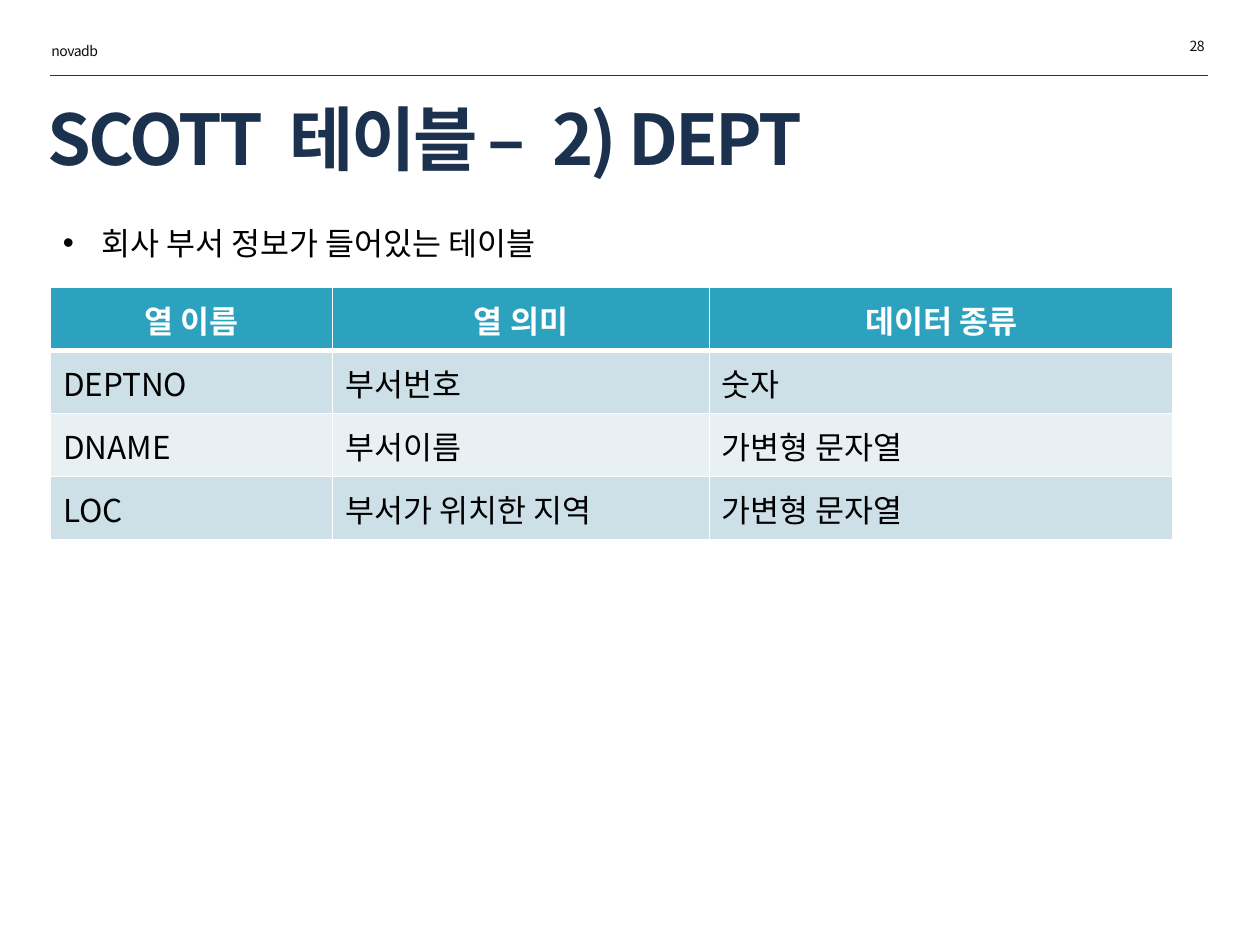
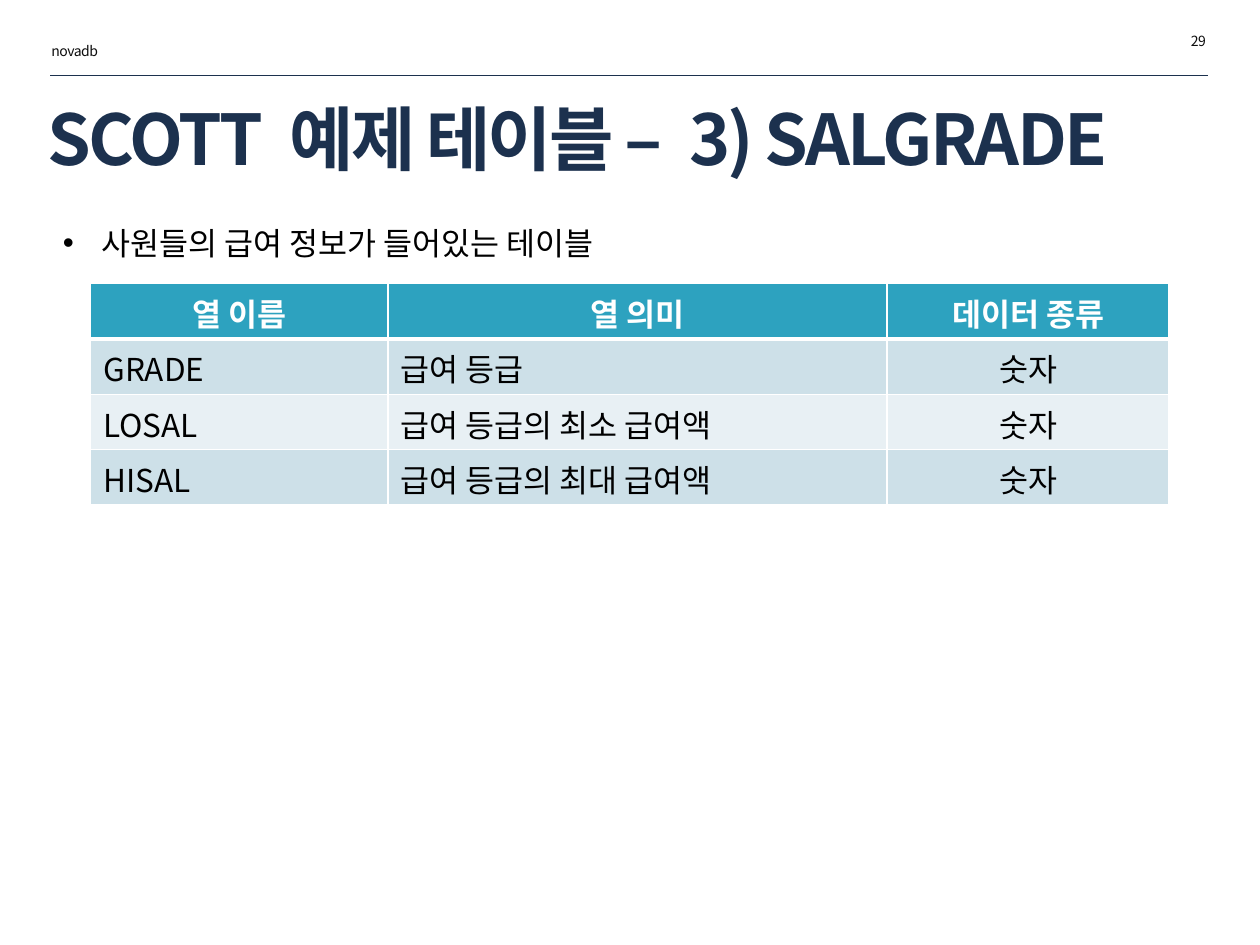
from lxml import etree
from pptx import Presentation
from pptx.dml.color import RGBColor
from pptx.enum.shapes import MSO_CONNECTOR
from pptx.enum.text import MSO_ANCHOR, MSO_AUTO_SIZE, PP_ALIGN
from pptx.oxml.ns import qn
from pptx.util import Inches, Pt

LEFT, CENTER, RIGHT = PP_ALIGN.LEFT, PP_ALIGN.CENTER, PP_ALIGN.RIGHT
TOP, MIDDLE = MSO_ANCHOR.TOP, MSO_ANCHOR.MIDDLE
STRAIGHT = MSO_CONNECTOR.STRAIGHT
NO_AUTOFIT = MSO_AUTO_SIZE.NONE

# Content; title parts are separated by wide gaps
COLUMN_NAMES = ("열 이름", "열 의미", "데이터 종류")
SLIDES = [
    {
        "title": ("SCOTT", "테이블 –", "2) DEPT"),
        "title_width": 7.65,
        "number": "28",
        "number_at": (7.93, 0.25),
        "summary": "회사 부서 정보가 들어있는 테이블",
        "rows": [
            ("DEPTNO", "부서번호", "숫자"),
            ("DNAME", "부서이름", "가변형 문자열"),
            ("LOC", "부서가 위치한 지역", "가변형 문자열"),
        ],
        "table_at": (0.4, 2.28),
        "column_widths": (2.24, 2.99, 3.68),
        "row_height": 0.5,
        "header_anchor": MIDDLE,
        "alignments": (LEFT, LEFT, LEFT),
    },
    {
        "title": ("SCOTT", "예제 테이블 –", "3) SALGRADE"),
        "title_width": 9.41,
        "number": "29",
        "number_at": (7.94, 0.21),
        "summary": "사원들의 급여 정보가 들어있는 테이블",
        "rows": [
            ("GRADE", "급여 등급", "숫자"),
            ("LOSAL", "급여 등급의 최소 급여액", "숫자"),
            ("HISAL", "급여 등급의 최대 급여액", "숫자"),
        ],
        "table_at": (0.72, 2.25),
        "column_widths": (2.36, 3.96, 2.24),
        "row_height": 0.44,
        "header_anchor": TOP,
        "alignments": (LEFT, LEFT, CENTER),
    },
]

# Shared style
COURSE = "novadb"
FONT = "Noto Sans CJK KR"
NAVY, INK, BLACK, WHITE = "1C314E", "0D0D0D", "000000", "FFFFFF"
HEADER_FILL, BAND_FILLS = "2DA2BF", ("CDE0E8", "E8F0F4")
MARGIN, CONTENT_WIDTH, RULE_TOP = 0.4, 9.19, 0.6
LABEL_SIZE = (1.73, 0.24)
BULLET_INDENT = 0.31
TITLE_SPACING, GAP_SPACING, LABEL_SPACING = -1.5, 6, -0.3


def color(value):
    return RGBColor.from_string(value)


def add_run(paragraph, text, size, text_color, bold=False, spacing=0):
    run = paragraph.add_run()
    run.text = text
    run.font.size = Pt(size)
    run.font.bold = bold
    run.font.name = FONT
    run.font.color.rgb = color(text_color)
    properties = run.font._element
    etree.SubElement(properties, qn("a:ea"), typeface=FONT)
    if spacing:
        properties.set("spc", str(round(spacing * 100)))


def add_text(slide, at, size, text, font_size, text_color, alignment=LEFT, spacing=0):
    box = slide.shapes.add_textbox(*map(Inches, at + size))
    box.text_frame.word_wrap = True
    paragraph = box.text_frame.paragraphs[0]
    paragraph.alignment = alignment
    add_run(paragraph, text, font_size, text_color, spacing=spacing)
    return paragraph


def add_bullet(paragraph):
    properties = paragraph._p.get_or_add_pPr()
    indent = Inches(BULLET_INDENT)
    properties.set("marL", str(indent))
    properties.set("indent", str(-indent))
    etree.SubElement(properties, qn("a:buFont"), typeface="Arial")
    etree.SubElement(properties, qn("a:buChar"), char="•")


def set_title(slide, parts, width):
    title = slide.shapes.title
    title.left, title.top, title.width, title.height = map(Inches, (0.28, 0.77, width, 0.64))
    frame = title.text_frame
    frame.auto_size = NO_AUTOFIT
    frame.vertical_anchor = MIDDLE
    paragraph = frame.paragraphs[0]
    paragraph.alignment = LEFT
    for index, part in enumerate(parts):
        if index:
            add_run(paragraph, " ", 40, NAVY, True, GAP_SPACING)
        add_run(paragraph, part, 40, NAVY, True, TITLE_SPACING)


def add_page_frame(slide, content):
    # Rule, running label and page number
    rule = slide.shapes.add_connector(
        STRAIGHT, *map(Inches, (MARGIN, RULE_TOP, MARGIN + CONTENT_WIDTH, RULE_TOP)))
    rule.line.color.rgb = color(NAVY)
    rule.line.width = Pt(0.25)
    etree.SubElement(rule._element.spPr, qn("a:effectLst"))
    add_text(slide, (0.31, 0.29), LABEL_SIZE, COURSE, 8, INK, spacing=LABEL_SPACING)
    add_text(slide, content["number_at"], LABEL_SIZE, content["number"], 8, INK,
             RIGHT, LABEL_SPACING)


def set_borders(cell, row_index):
    # A thick line parts the header from the body
    widths = {"lnL": 1, "lnR": 1,
              "lnT": 3 if row_index == 1 else 1,
              "lnB": 3 if row_index == 0 else 1}
    properties = cell._tc.get_or_add_tcPr()
    for side, width in widths.items():
        line = etree.SubElement(properties, qn(f"a:{side}"), w=str(Pt(width)))
        fill = etree.SubElement(line, qn("a:solidFill"))
        etree.SubElement(fill, qn("a:srgbClr"), val=WHITE)


def add_column_table(slide, content):
    rows = [COLUMN_NAMES] + content["rows"]
    widths, row_height = content["column_widths"], content["row_height"]
    size = (sum(widths), row_height * len(rows))
    table = slide.shapes.add_table(
        len(rows), len(widths), *map(Inches, content["table_at"] + size)).table
    table.horz_banding = False
    for column, width in zip(table.columns, widths):
        column.width = Inches(width)
    for row_index, texts in enumerate(rows):
        header = row_index == 0
        for column_index, text in enumerate(texts):
            cell = table.cell(row_index, column_index)
            set_borders(cell, row_index)
            cell.fill.solid()
            cell.fill.fore_color.rgb = color(
                HEADER_FILL if header else BAND_FILLS[(row_index - 1) % 2])
            cell.vertical_anchor = content["header_anchor"] if header else MIDDLE
            cell.margin_bottom = Inches(0.03)
            paragraph = cell.text_frame.paragraphs[0]
            paragraph.alignment = CENTER if header else content["alignments"][column_index]
            add_run(paragraph, text, 18, WHITE if header else BLACK, header)


def main():
    presentation = Presentation()
    presentation.slide_width, presentation.slide_height = Inches(10), Inches(7.5)
    title_only = presentation.slide_layouts[5]
    for content in SLIDES:
        slide = presentation.slides.add_slide(title_only)
        set_title(slide, content["title"], content["title_width"])
        add_page_frame(slide, content)
        add_column_table(slide, content)
        summary = add_text(slide, (MARGIN, 1.73), (CONTENT_WIDTH, 0.4),
                           content["summary"], 18, BLACK)
        add_bullet(summary)
    presentation.save("out.pptx")


if __name__ == "__main__":
    main()
